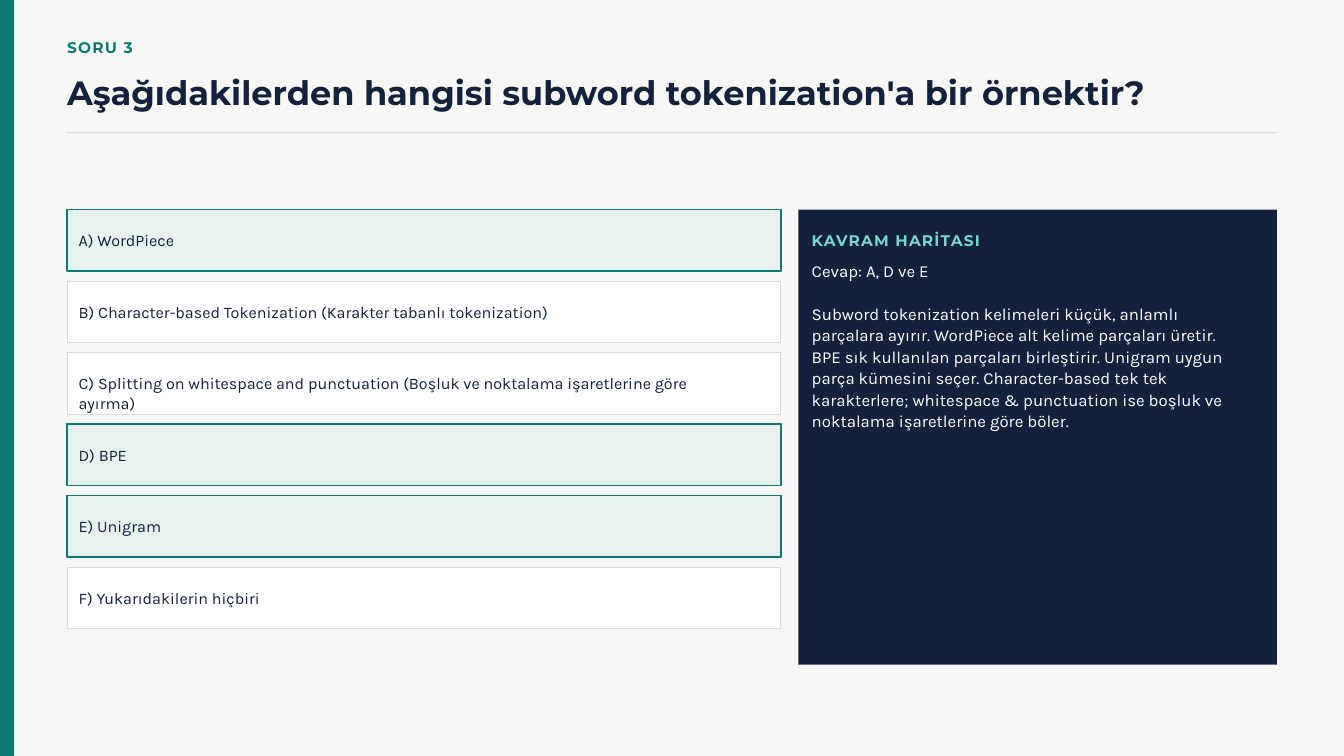
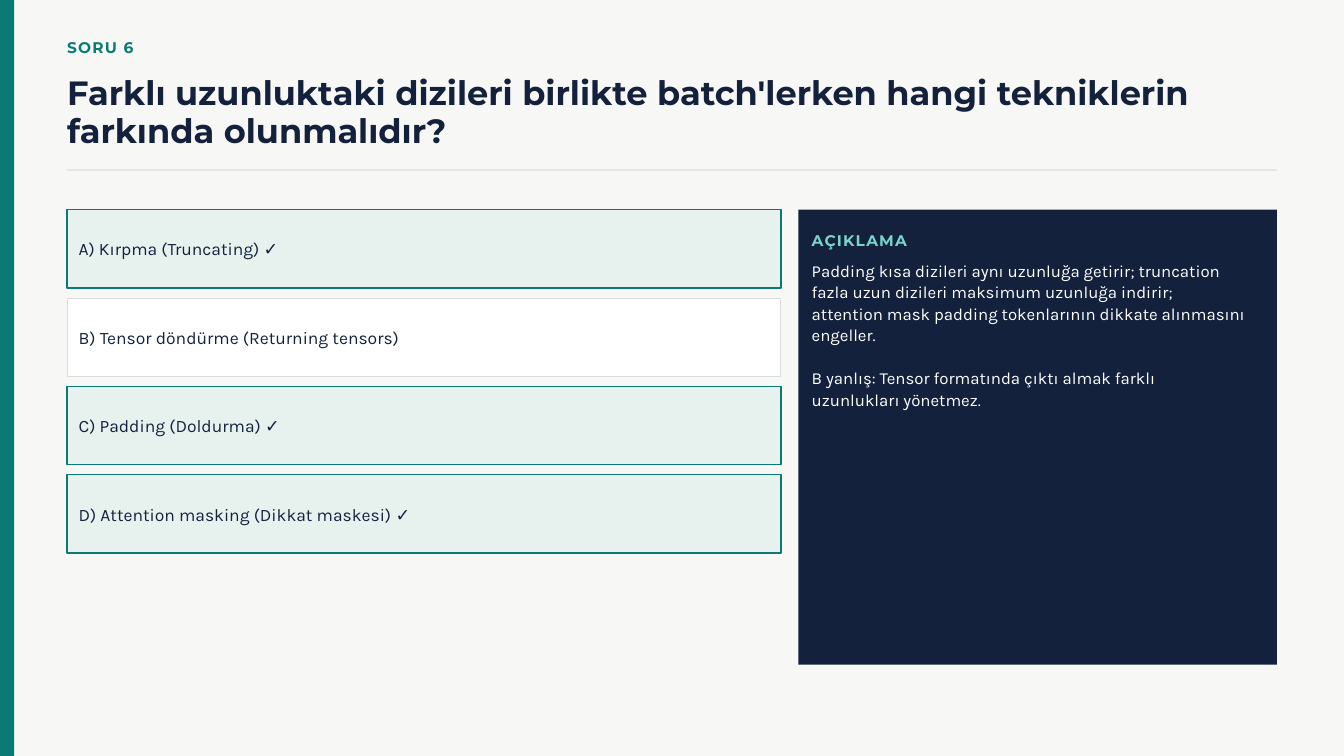
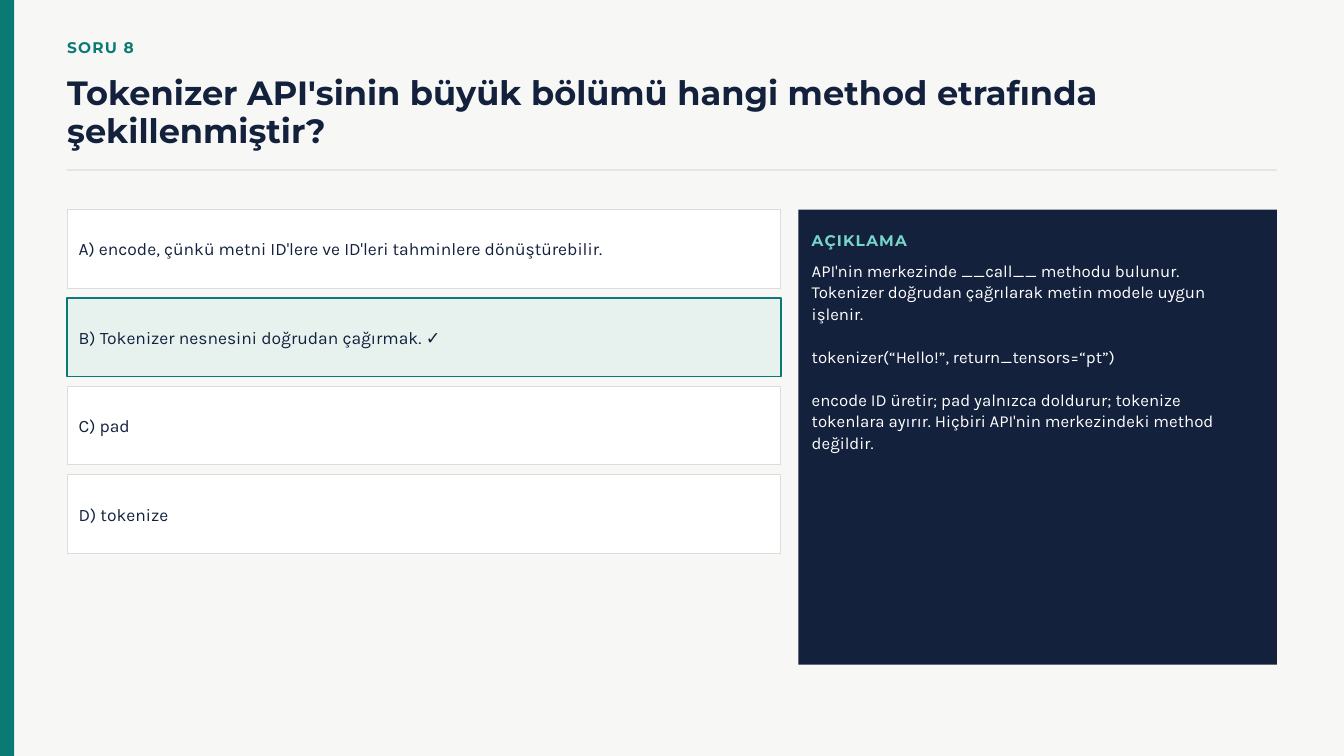
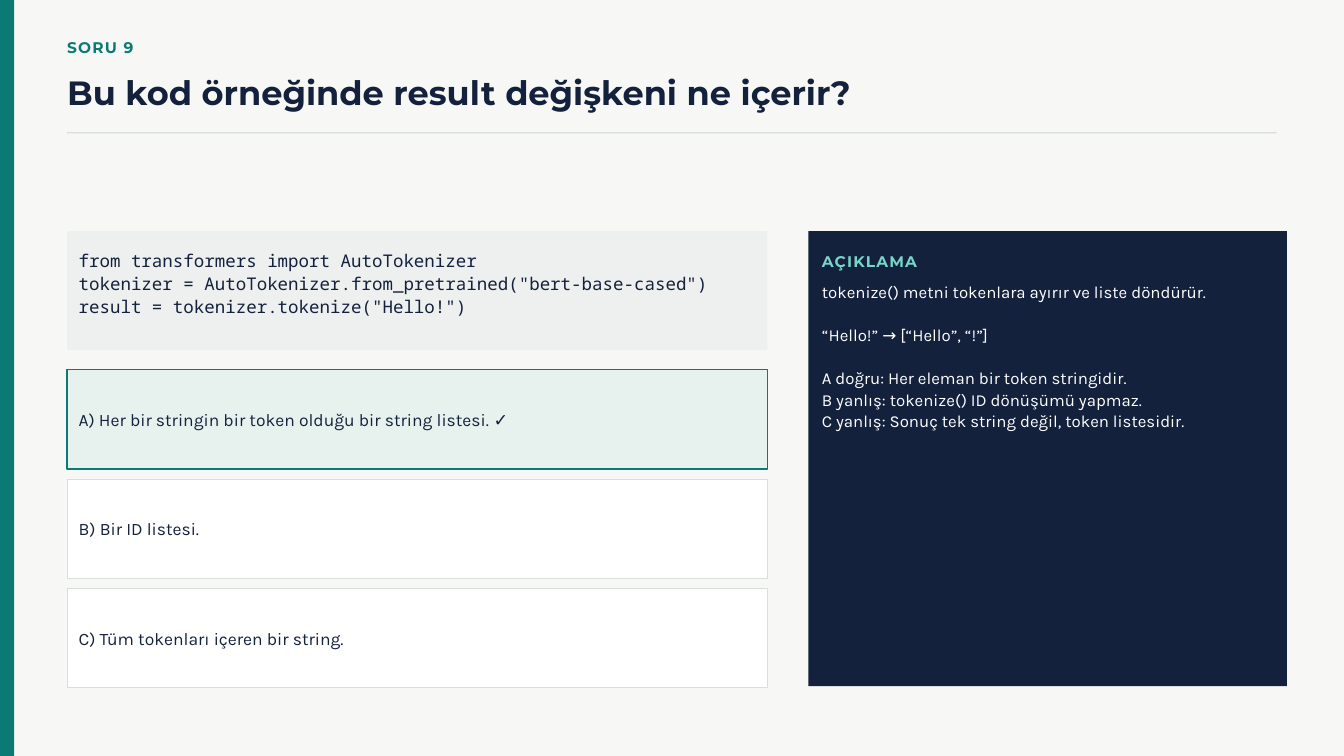
from dataclasses import dataclass

from pptx import Presentation
from pptx import util as u
from pptx.dml import color
from pptx.enum import shapes, text
from pptx.shapes.autoshape import Shape
from pptx.slide import Slide
from pptx.text.text import TextFrame

COLORS = {
    "paper": "F7F8F5",
    "teal": "0B7A75",
    "mint": "78D5C9",
    "correct": "E7F2EF",
    "navy": "14213D",
    "border": "D7DEDB",
    "code": "EDF0EE",
    "white": "FFFFFF",
}
MARGIN = 1
CONTENT_WIDTH = 18
TITLE_TOP = 1.11
TITLE_LINE = 0.555
TEXT_INDENT = 0.17
ANSWER_GAP = 0.15
PANEL_WIDTH, PANEL_HEIGHT = 7.12, 6.77
PANEL_INDENT = 0.2
CODE_HEIGHT = 1.77


@dataclass(frozen=True)
class Box:
    left: float
    top: float
    width: float
    height: float

    def lengths(self) -> tuple[u.Length, ...]:
        return tuple(u.Inches(v) for v in (self.left, self.top, self.width, self.height))


@dataclass(frozen=True)
class TextStyle:
    font: str
    size: float
    leading: float
    color: str
    bold: bool = False
    tracking: float = 0


@dataclass(frozen=True)
class Question:
    number: int
    title: str
    answers: tuple[str, ...]
    correct: str
    panel_heading: str
    explanation: tuple[tuple[str, ...], ...]
    answer_area: Box
    panel_left: float = 11.88
    content_top: float = 3.12
    title_lines: int = 1
    code: tuple[str, ...] = ()


EYEBROW = TextStyle("Montserrat", 16.5, 23.1, "teal", True, 1.3)
PANEL_HEADING = TextStyle("Montserrat", 16.5, 23.1, "mint", True, 1.3)
TITLE = TextStyle("Montserrat", 36, 40.3, "navy", True)
ANSWER = TextStyle("Karla", 18.75, 22.9, "navy")
DENSE_ANSWER = TextStyle("Karla", 17.25, 21, "navy")
EXPLANATION = TextStyle("Karla", 18, 23, "white")
CODE = TextStyle("Noto Sans Mono", 18.75, 24.4, "navy")

QUESTIONS = (
    Question(
        number=3,
        title="Aşağıdakilerden hangisi subword tokenization'a bir örnektir?",
        answers=(
            "A) WordPiece",
            "B) Character-based Tokenization (Karakter tabanlı tokenization)",
            "C) Splitting on whitespace and punctuation (Boşluk ve noktalama işaretlerine göre ayırma)",
            "D) BPE",
            "E) Unigram",
            "F) Yukarıdakilerin hiçbiri",
        ),
        correct="ADE",
        panel_heading="KAVRAM HARİTASI",
        explanation=(
            ("Cevap: A, D ve E",),
            ("Subword tokenization kelimeleri küçük, anlamlı parçalara ayırır. "
             "WordPiece alt kelime parçaları üretir. BPE sık kullanılan parçaları birleştirir. "
             "Unigram uygun parça kümesini seçer. Character-based tek tek karakterlere; "
             "whitespace & punctuation ise boşluk ve noktalama işaretlerine göre böler.",),
        ),
        answer_area=Box(MARGIN, 3.12, 10.62, 6.23),
    ),
    Question(
        number=6,
        title="Farklı uzunluktaki dizileri birlikte batch'lerken hangi tekniklerin farkında olunmalıdır?",
        title_lines=2,
        answers=(
            "A) Kırpma (Truncating) ✓",
            "B) Tensor döndürme (Returning tensors)",
            "C) Padding (Doldurma) ✓",
            "D) Attention masking (Dikkat maskesi) ✓",
        ),
        correct="ACD",
        panel_heading="AÇIKLAMA",
        explanation=(
            ("Padding kısa dizileri aynı uzunluğa getirir; truncation fazla uzun dizileri "
             "maksimum uzunluğa indirir; attention mask padding tokenlarının dikkate "
             "alınmasını engeller.",),
            ("B yanlış: Tensor formatında çıktı almak farklı uzunlukları yönetmez.",),
        ),
        answer_area=Box(MARGIN, 3.12, 10.62, 5.11),
    ),
    Question(
        number=8,
        title="Tokenizer API'sinin büyük bölümü hangi method etrafında şekillenmiştir?",
        title_lines=2,
        answers=(
            "A) encode, çünkü metni ID'lere ve ID'leri tahminlere dönüştürebilir.",
            "B) Tokenizer nesnesini doğrudan çağırmak. ✓",
            "C) pad",
            "D) tokenize",
        ),
        correct="B",
        panel_heading="AÇIKLAMA",
        explanation=(
            ("API'nin merkezinde __call__ methodu bulunur. Tokenizer doğrudan çağrılarak "
             "metin modele uygun işlenir.",),
            ("tokenizer(“Hello!”, return_tensors=“pt”)",),
            ("encode ID üretir; pad yalnızca doldurur; tokenize tokenlara ayırır. "
             "Hiçbiri API'nin merkezindeki method değildir.",),
        ),
        answer_area=Box(MARGIN, 3.12, 10.62, 5.11),
    ),
    Question(
        number=9,
        title="Bu kod örneğinde result değişkeni ne içerir?",
        answers=(
            "A) Her bir stringin bir token olduğu bir string listesi. ✓",
            "B) Bir ID listesi.",
            "C) Tüm tokenları içeren bir string.",
        ),
        correct="A",
        panel_heading="AÇIKLAMA",
        explanation=(
            ("tokenize() metni tokenlara ayırır ve liste döndürür.",),
            ("“Hello!” → [“Hello”, “!”]",),
            ("A doğru: Her eleman bir token stringidir.",
             "B yanlış: tokenize() ID dönüşümü yapmaz.",
             "C yanlış: Sonuç tek string değil, token listesidir."),
        ),
        answer_area=Box(MARGIN, 5.5, 10.42, 4.73),
        panel_left=12.03,
        content_top=3.44,
        code=(
            "from transformers import AutoTokenizer",
            'tokenizer = AutoTokenizer.from_pretrained("bert-base-cased")',
            'result = tokenizer.tokenize("Hello!")',
        ),
    ),
)


def rgb(name: str) -> color.RGBColor:
    return color.RGBColor.from_string(COLORS[name])


def write(frame: TextFrame, groups: tuple[tuple[str, ...], ...], style: TextStyle) -> None:
    frame.word_wrap = True
    frame.auto_size = text.MSO_AUTO_SIZE.NONE
    frame.vertical_anchor = text.MSO_ANCHOR.TOP
    frame.margin_left = frame.margin_top = frame.margin_right = frame.margin_bottom = 0
    lines = [(line, g > 0 and i == 0) for g, group in enumerate(groups) for i, line in enumerate(group)]
    for index, (line, starts_group) in enumerate(lines):
        paragraph = frame.add_paragraph() if index else frame.paragraphs[0]
        run = paragraph.add_run()
        run.text = line
        paragraph.alignment = text.PP_ALIGN.LEFT
        paragraph.line_spacing = u.Pt(style.leading)
        paragraph.space_before = u.Pt(style.leading if starts_group else 0)
        paragraph.font.name = style.font
        paragraph.font.size = u.Pt(style.size)
        paragraph.font.bold = style.bold
        paragraph.font.color.rgb = rgb(style.color)
        if style.tracking:
            run.font._element.set("spc", str(round(style.tracking * 100)))


def add_text(slide: Slide, box: Box, groups: tuple[tuple[str, ...], ...], style: TextStyle) -> None:
    write(slide.shapes.add_textbox(*box.lengths()).text_frame, groups, style)


def add_block(slide: Slide, box: Box, fill: str, border: str = "", border_width: float = 0) -> Shape:
    block = slide.shapes.add_shape(shapes.MSO_SHAPE.RECTANGLE, *box.lengths())
    block.shadow.inherit = False
    block.fill.solid()
    block.fill.fore_color.rgb = rgb(fill)
    if border:
        block.line.color.rgb = rgb(border)
        block.line.width = u.Pt(border_width)
    else:
        block.line.fill.background()
    return block


def add_header(slide: Slide, question: Question) -> None:
    add_block(slide, Box(0, 0, 0.21, 11.25), "teal")
    add_text(slide, Box(MARGIN, 0.52, 6.25, 0.31), ((f"SORU {question.number}",),), EYEBROW)
    title = slide.shapes.title
    title_height = TITLE_LINE * question.title_lines
    title_box = Box(MARGIN, TITLE_TOP, CONTENT_WIDTH, title_height)
    title.left, title.top, title.width, title.height = title_box.lengths()
    write(title.text_frame, ((question.title,),), TITLE)
    add_block(slide, Box(MARGIN, TITLE_TOP + title_height + 0.3, CONTENT_WIDTH, 0.02), "border")


def add_code(slide: Slide, question: Question) -> None:
    area = question.answer_area
    add_block(slide, Box(area.left, question.content_top, area.width, CODE_HEIGHT), "code")
    add_text(slide, Box(area.left + TEXT_INDENT, question.content_top + 0.26, 10, 0.98), (question.code,), CODE)


def add_answers(slide: Slide, question: Question) -> None:
    area, count = question.answer_area, len(question.answers)
    style = DENSE_ANSWER if count > 4 else ANSWER
    height = (area.height - ANSWER_GAP * (count - 1)) / count
    line_height = style.leading / 72
    for index, answer in enumerate(question.answers):
        top = area.top + index * (height + ANSWER_GAP)
        look = ("correct", "teal", 1.5) if answer[0] in question.correct else ("white", "border", 0.75)
        add_block(slide, Box(area.left, top, area.width, height), *look)
        label = Box(area.left + TEXT_INDENT, top + (height - line_height) / 2, area.width - 1.08, line_height)
        add_text(slide, label, ((answer,),), style)


def add_panel(slide: Slide, question: Question) -> None:
    left, top = question.panel_left, question.content_top
    add_block(slide, Box(left, top, PANEL_WIDTH, PANEL_HEIGHT), "navy")
    heading = Box(left + PANEL_INDENT, top + 0.27, 6.46, 0.3)
    add_text(slide, heading, ((question.panel_heading,),), PANEL_HEADING)
    add_text(slide, Box(heading.left, top + 0.74, 6.46, 2.18), question.explanation, EXPLANATION)


def main() -> None:
    deck = Presentation()
    deck.slide_width, deck.slide_height = u.Inches(20), u.Inches(11.25)
    backdrop = deck.slide_master.background.fill
    backdrop.solid()
    backdrop.fore_color.rgb = rgb("paper")
    for question in QUESTIONS:
        slide = deck.slides.add_slide(deck.slide_layouts.get_by_name("Title Only"))
        add_header(slide, question)
        if question.code:
            add_code(slide, question)
        add_answers(slide, question)
        add_panel(slide, question)
    deck.save("out.pptx")


if __name__ == "__main__":
    main()
